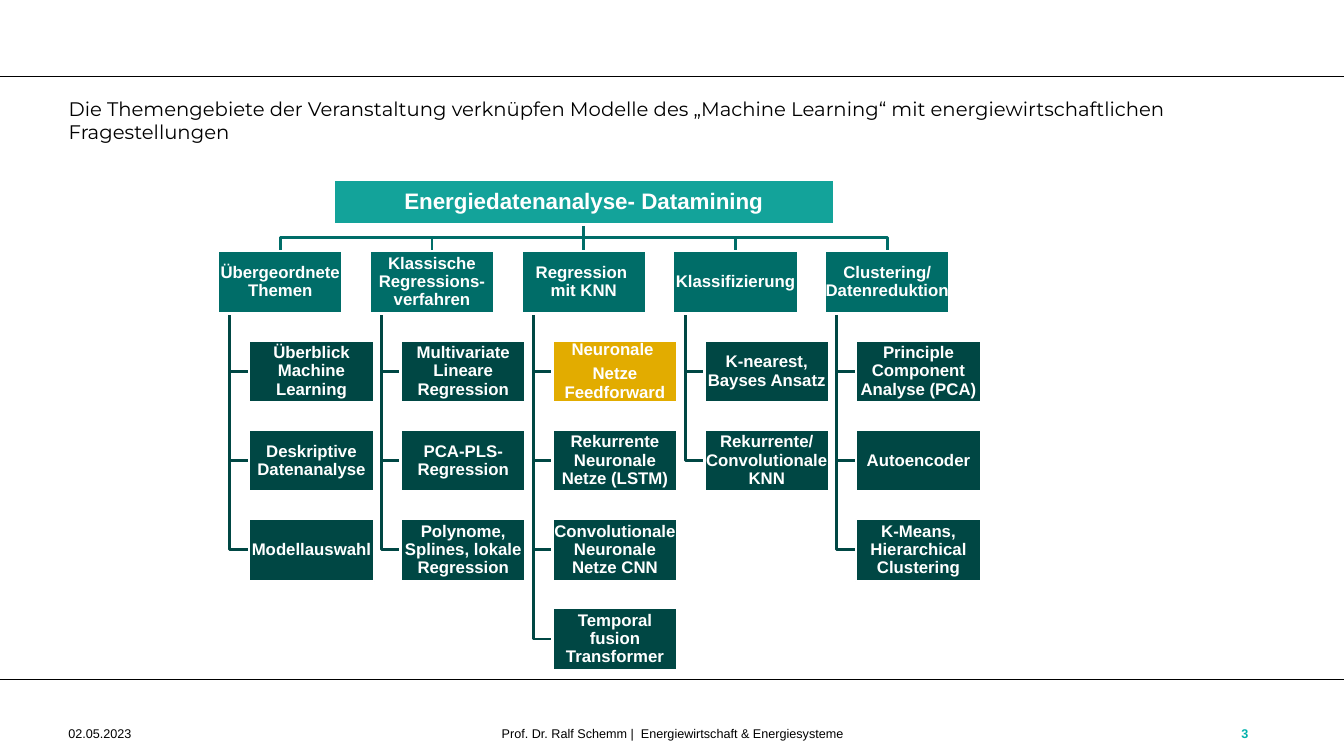
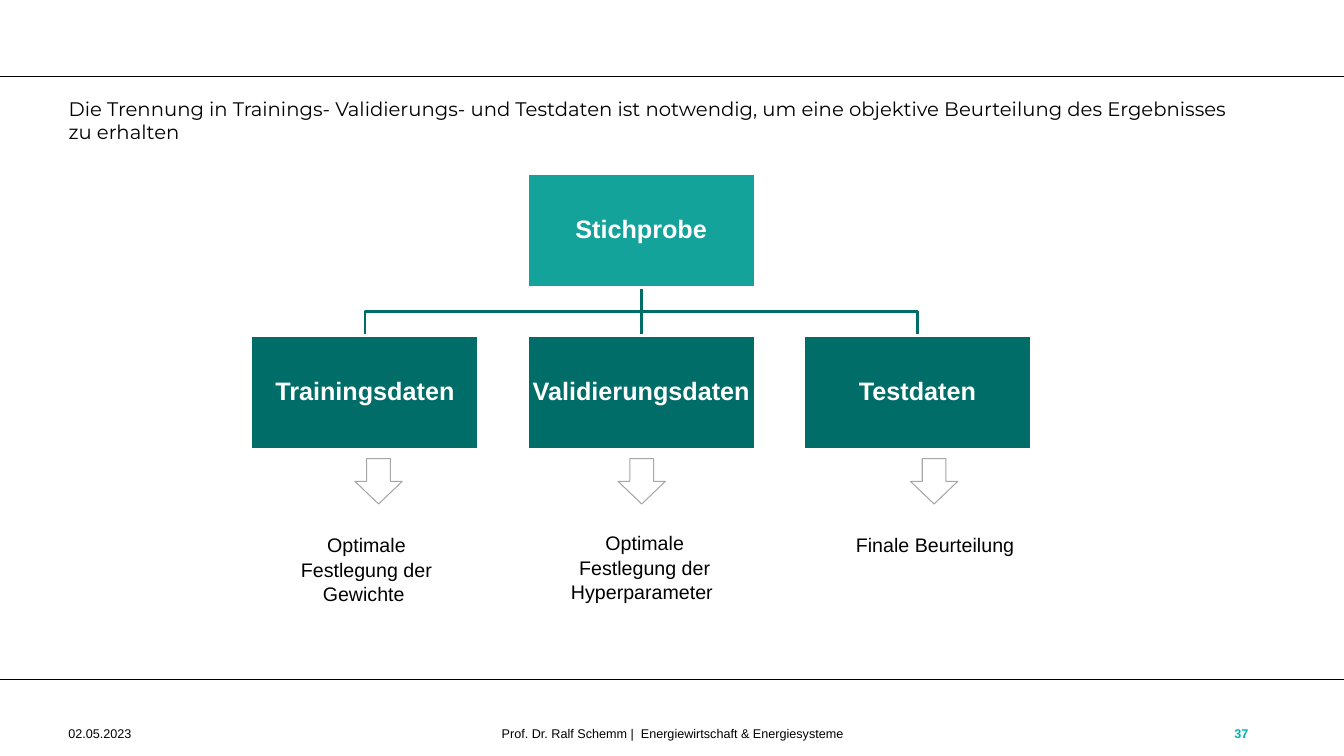
from dataclasses import dataclass

from lxml import etree
from pptx import Presentation
from pptx.dml.color import RGBColor
from pptx.enum.shapes import MSO_CONNECTOR, MSO_SHAPE
from pptx.enum.text import MSO_ANCHOR, MSO_AUTO_SIZE, PP_ALIGN
from pptx.oxml.ns import qn
from pptx.util import Inches, Pt

STRAIGHT = MSO_CONNECTOR.STRAIGHT
RECT, DOWN_ARROW = MSO_SHAPE.RECTANGLE, MSO_SHAPE.DOWN_ARROW
TOP, MIDDLE = MSO_ANCHOR.TOP, MSO_ANCHOR.MIDDLE
NO_AUTOFIT = MSO_AUTO_SIZE.NONE
LEFT, CENTER, RIGHT = PP_ALIGN.LEFT, PP_ALIGN.CENTER, PP_ALIGN.RIGHT
SIDE_TOP, SIDE_BOTTOM = 0, 2
TITLE_ONLY = 5


@dataclass(frozen=True)
class Theme:
    black: str = "000000"
    white: str = "FFFFFF"
    root: str = "13A39A"
    branch: str = "006D68"
    leaf: str = "004744"
    highlight: str = "E2AC00"
    number: str = "00B1AC"
    arrow: str = "A6A6A6"
    title_font: str = "Montserrat"
    body_font: str = "Arial"
    text_size: float = 14
    footer_size: float = 9
    root_size: float = 16
    topic_size: float = 12
    sample_size: float = 18
    line: float = 2


THEME = Theme()
WIDTH, HEIGHT = 13.33, 7.5
RULES = (0.76, 6.74)
TITLE_AT = (0.58, 0.91, 11.91, 0.55)
DATE = "02.05.2023"
FOOTER = "Prof. Dr. Ralf Schemm |  Energiewirtschaft & Energiesysteme"

TOPICS_TITLE = ("Die Themengebiete der Veranstaltung verknüpfen Modelle des "
                "„Machine Learning“ mit energiewirtschaftlichen Fragestellungen")
TOPICS = {
    "Übergeordnete Themen": [
        "Überblick Machine Learning", "Deskriptive Datenanalyse", "Modellauswahl"],
    "Klassische Regressions-verfahren": [
        "Multivariate Lineare Regression", "PCA-PLS-Regression",
        "Polynome, Splines, lokale Regression"],
    "Regression \vmit KNN": [
        "Neuronale \nNetze Feedforward", "Rekurrente Neuronale Netze (LSTM)",
        "Convolutionale Neuronale Netze CNN", "Temporal fusion Transformer"],
    "Klassifizierung": [
        "K-nearest, Bayses Ansatz", "Rekurrente/ Convolutionale KNN"],
    "Clustering/ Datenreduktion": [
        "Principle Component Analyse (PCA)", "Autoencoder",
        "K-Means, Hierarchical Clustering"],
}
HIGHLIGHTED = "Neuronale \nNetze Feedforward"

SAMPLE_TITLE = ("Die Trennung in Trainings- Validierungs- und Testdaten ist notwendig, "
                "um eine objektive Beurteilung des Ergebnisses zu erhalten")
SAMPLES = ["Trainingsdaten", "Validierungsdaten", "Testdaten"]
ARROW_LEFTS = (3.52, 6.13, 9.03)
PURPOSES = [
    ("Optimale Festlegung der Gewichte ", (2.65, 5.22, 1.97, 0.81)),
    ("Optimale Festlegung der Hyperparameter ", (5.41, 5.2, 1.97, 0.81)),
    ("Finale Beurteilung", (8.29, 5.22, 1.97, 0.34)),
]


def inches(values):
    return [Inches(v) for v in values]


def evenly(first, last, count):
    return [first + (last - first) * i / (count - 1) for i in range(count)]


def set_line(sp, color, width):
    sp.line.color.rgb = RGBColor.from_string(color)
    sp.line.width = Pt(width)


def write(sp, text, size, color=THEME.black, font=THEME.body_font, bold=False,
          frame=None, para=None):
    """Fill a shape with text; frame and para hold format values to set."""
    tf = sp.text_frame
    for name, value in {"word_wrap": True, "auto_size": NO_AUTOFIT, **(frame or {})}.items():
        setattr(tf, name, value)
    tf.text = text
    for p in tf.paragraphs:
        for name, value in (para or {}).items():
            setattr(p, name, value)
        for r in p.runs:
            for name, value in {"name": font, "size": Pt(size), "bold": bold}.items():
                setattr(r.font, name, value)
            r.font.color.rgb = RGBColor.from_string(color)


def add_text(slide, at, text, size, **style):
    write(slide.shapes.add_textbox(*inches(at)), text, size, **style)


def add_line(slide, start, end, color, width):
    line = slide.shapes.add_connector(STRAIGHT, *start, *end)
    set_line(line, color, width)
    etree.SubElement(line.element.spPr, qn("a:effectLst"))
    return line


def add_box(slide, at, text, fill, size):
    sp = slide.shapes.add_shape(RECT, *inches(at))
    sp.shadow.inherit = False
    sp.fill.solid()
    sp.fill.fore_color.rgb = RGBColor.from_string(fill)
    set_line(sp, THEME.white, THEME.line)
    margins = {f"margin_{side}": 0 for side in ("left", "top", "right", "bottom")}
    write(sp, text, size, color=THEME.white, bold=True,
          frame={"vertical_anchor": MIDDLE, **margins},
          para={"alignment": CENTER, "line_spacing": 0.9, "space_after": Pt(0.35 * size)})
    return sp


def send_to_back(slide, sp):
    slide.shapes.element.insert(2, sp.element)


def add_elbow(slide, points, color):
    builder = slide.shapes.build_freeform(*points[0])
    builder.add_line_segments(points[1:], close=False)
    sp = builder.convert_to_shape()
    sp.shadow.inherit = False
    sp.fill.background()
    set_line(sp, color, THEME.line)
    send_to_back(slide, sp)


def link_down(slide, parent, child):
    """Join a parent's bottom to a child's top, by way of a bar halfway."""
    x1, x2 = (sp.left + sp.width // 2 for sp in (parent, child))
    y1, y2 = parent.top + parent.height, child.top
    if abs(x1 - x2) < Inches(0.01):
        line = add_line(slide, (x1, y1), (x2, y2), THEME.branch, THEME.line)
        line.begin_connect(parent, SIDE_BOTTOM)
        line.end_connect(child, SIDE_TOP)
        send_to_back(slide, line)
    else:
        bar = (y1 + y2) // 2
        add_elbow(slide, [(x1, y1), (x1, bar), (x2, bar), (x2, y2)], THEME.branch)


def link_side(slide, parent, child):
    """Join a parent's bottom to the left side of an indented child."""
    x = parent.left + Inches(0.12)
    y = child.top + child.height // 2
    add_elbow(slide, [(x, parent.top + parent.height), (x, y), (child.left, y)], THEME.leaf)


def set_up_layout(prs):
    """Give the shared layout its title place and the two rules."""
    layout = prs.slide_layouts[TITLE_ONLY]
    title = next(sp for sp in layout.placeholders if sp.placeholder_format.idx == 0)
    title.left, title.top, title.width, title.height = inches(TITLE_AT)
    return layout


def add_rules(slide, layout):
    for y in RULES:
        line = add_line(slide, inches((0, y)), inches((WIDTH, y)), THEME.black, 1)
        layout.shapes.element.append(line.element)


def add_slide(prs, layout, title, number):
    slide = prs.slides.add_slide(layout)
    write(slide.shapes.title, title, THEME.text_size, font=THEME.title_font,
          frame={"vertical_anchor": TOP}, para={"alignment": LEFT})
    footers = [
        (0.58, 1.89, DATE, LEFT, {}),
        (3.52, 6.3, FOOTER, CENTER, {}),
        (11.6, 0.88, str(number), RIGHT, {"color": THEME.number, "bold": True}),
    ]
    for left, width, text, align, style in footers:
        add_text(slide, (left, 7.08, width, 0.4), text, THEME.footer_size,
                 frame={"vertical_anchor": MIDDLE}, para={"alignment": align}, **style)
    return slide


def draw_topics(slide):
    width, height, indent, root_width = 1.24, 0.62, 0.31, 4.97
    lefts = evenly(2.16, 8.18, len(TOPICS))
    tops = evenly(2.49, 6.03, 5)
    root_left = lefts[len(lefts) // 2] + (width - root_width) / 2
    root = add_box(slide, (root_left, 1.78, root_width, 0.45),
                   "Energiedatenanalyse- Datamining", THEME.root, THEME.root_size)
    for left, (topic, methods) in zip(lefts, TOPICS.items()):
        branch = add_box(slide, (left, tops[0], width, height), topic,
                         THEME.branch, THEME.topic_size)
        link_down(slide, root, branch)
        for top, method in zip(tops[1:], methods):
            fill = THEME.highlight if method == HIGHLIGHTED else THEME.leaf
            leaf = add_box(slide, (left + indent, top, width, height), method,
                           fill, THEME.topic_size)
            link_side(slide, branch, leaf)


def draw_samples(slide):
    width, height = 2.26, 1.13
    lefts = evenly(2.49, 7.97, len(SAMPLES))
    root = add_box(slide, (lefts[1], 1.72, width, height), "Stichprobe",
                   THEME.root, THEME.sample_size)
    for left, sample in zip(lefts, SAMPLES):
        box = add_box(slide, (left, 3.33, width, height), sample,
                      THEME.branch, THEME.sample_size)
        link_down(slide, root, box)
    for left in ARROW_LEFTS:
        arrow = slide.shapes.add_shape(DOWN_ARROW, *inches((left, 4.55, 0.47, 0.45)))
        arrow.shadow.inherit = False
        arrow.fill.background()
        set_line(arrow, THEME.arrow, 0.75)
    for text, at in PURPOSES:
        add_text(slide, at, text, THEME.text_size,
                 para={"alignment": CENTER, "line_spacing": 1.06})


def main():
    prs = Presentation()
    prs.slide_width, prs.slide_height = inches((WIDTH, HEIGHT))
    layout = set_up_layout(prs)
    topics = add_slide(prs, layout, TOPICS_TITLE, 3)
    add_rules(topics, layout)
    draw_topics(topics)
    draw_samples(add_slide(prs, layout, SAMPLE_TITLE, 37))
    prs.save("out.pptx")


if __name__ == "__main__":
    main()
